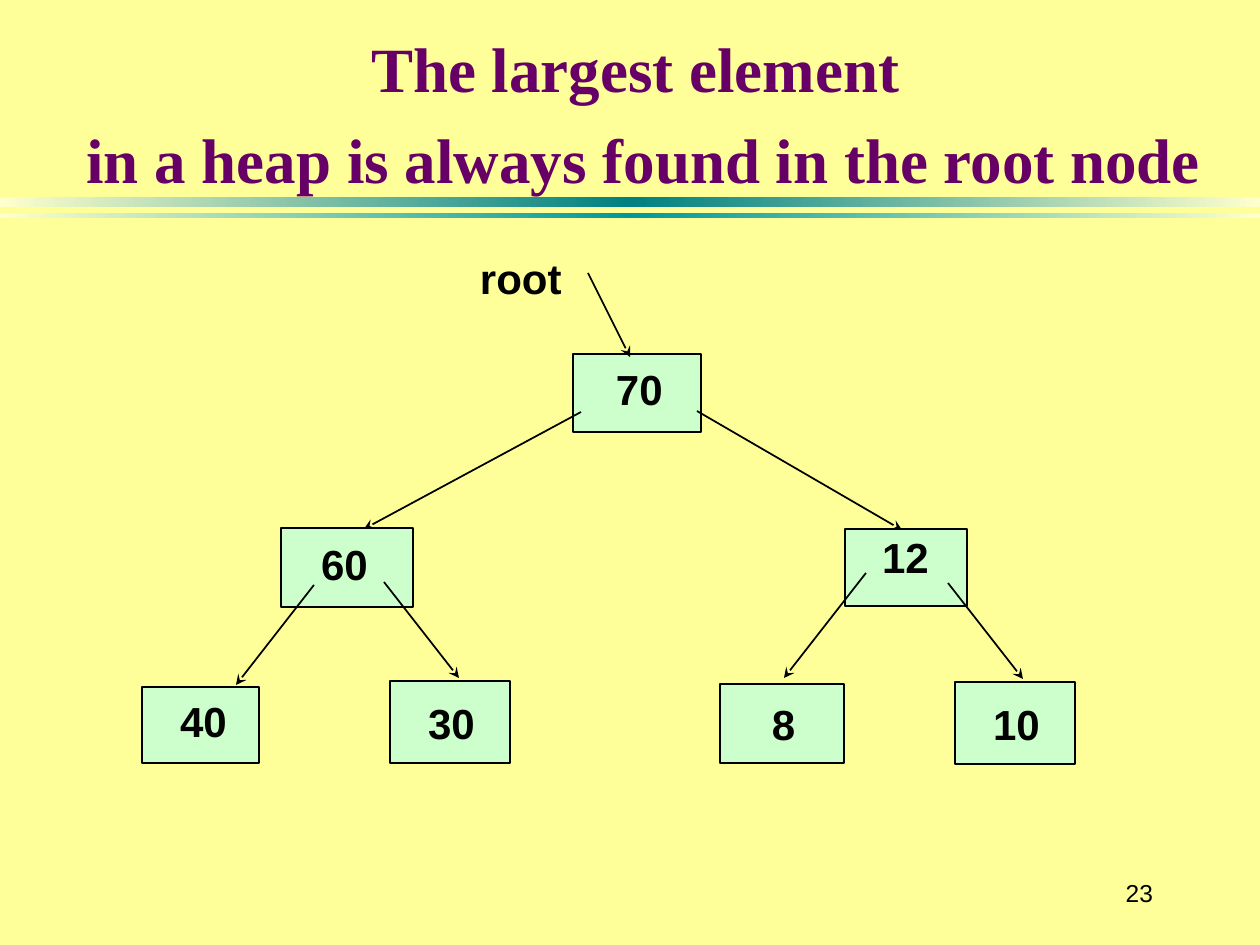
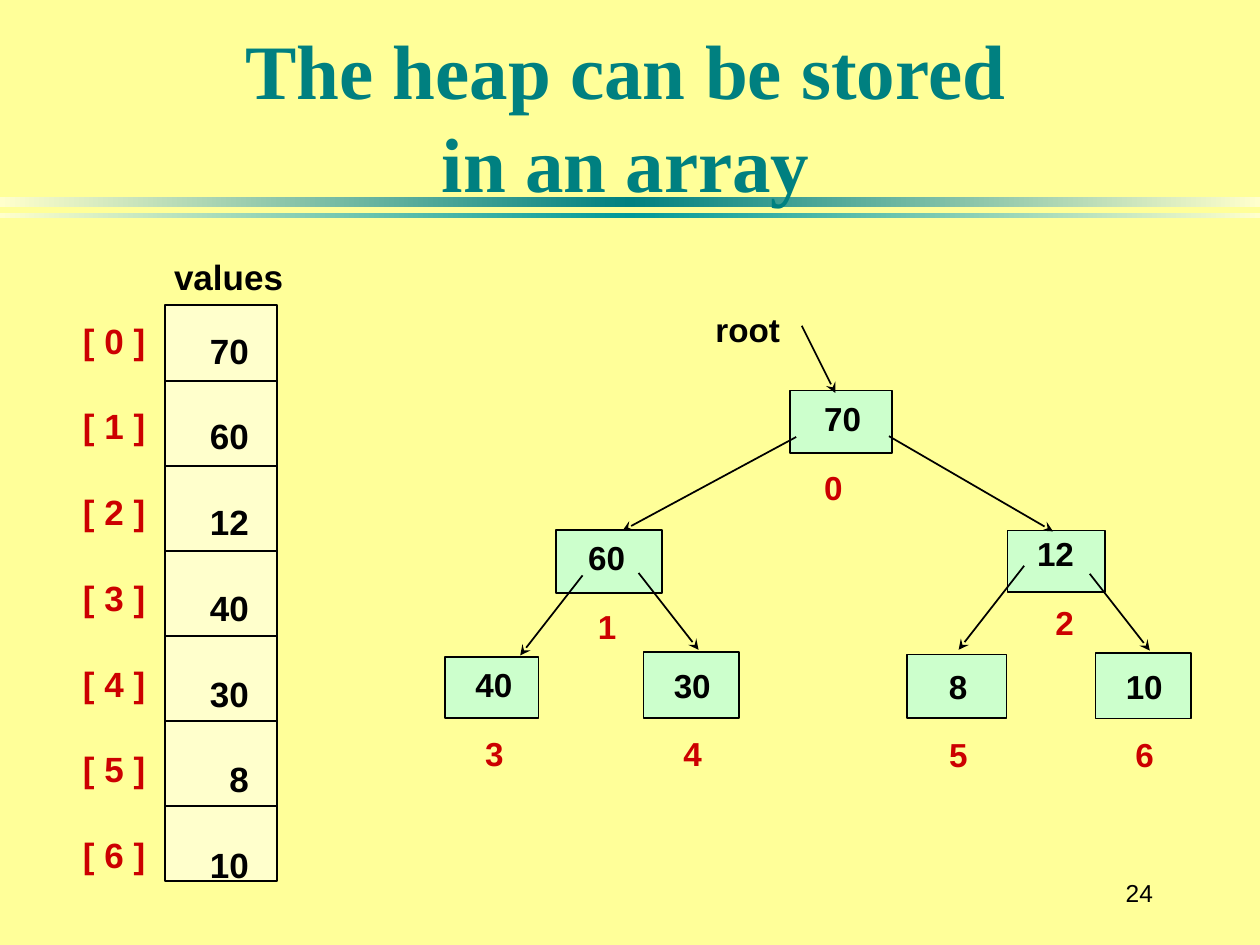
from dataclasses import dataclass

from lxml.etree import SubElement
from pptx import Presentation
from pptx.dml.color import RGBColor
from pptx.enum.shapes import MSO_CONNECTOR, MSO_SHAPE
from pptx.enum.text import MSO_ANCHOR, PP_ALIGN
from pptx.oxml.ns import qn
from pptx.util import Emu, Pt

EMU_PER_PX = 914400 / 126
TITLE_ONLY = 5


@dataclass(frozen=True)
class Theme:
    background: str = "FFFF99"
    band_edge: str = "FFFFCC"
    teal: str = "008080"
    light_teal: str = "009999"
    purple: str = "660066"
    node: str = "CCFFCC"
    array: str = "FFFFCC"
    ink: str = "000000"
    index: str = "CC0000"
    title_font: str = "Times New Roman"
    body_font: str = "Arial"
    long_title_size: int = 36
    title_size: int = 44
    tree_size: int = 24
    array_size: int = 20
    page_size: int = 14
    line_width: int = 1


@dataclass(frozen=True)
class Node:
    """A heap node: its box, text offset in the box, arrow from the parent, index shift."""
    value: int
    box: tuple
    text_offset: tuple
    arrow: tuple
    index_shift: int


THEME = Theme()

# Lengths are relative to the top left corner of the tree, in heap order.
HEAP = [
    Node(70, (431, 112, 128, 78), (43, 10), (446, 31, 488, 115), 0),
    Node(60, (139, 286, 132, 79), (40, 10), (439, 170, 222, 287), 12),
    Node(12, (703, 287, 122, 77), (37, 3), (555, 169, 760, 288), 23),
    Node(40, (0, 445, 117, 76), (38, 9), (172, 343, 94, 443), 12),
    Node(30, (248, 439, 120, 82), (38, 16), (242, 340, 317, 436), 12),
    Node(8, (578, 442, 124, 79), (52, 14), (724, 331, 642, 436), 0),
    Node(10, (813, 440, 120, 82), (38, 16), (806, 341, 881, 437), 12),
]
ROOT_LABEL = (338, 11, 110, 50)
INDEX_DROP = 86


def px(length):
    return Emu(round(length * EMU_PER_PX))


def color(value):
    return RGBColor.from_string(value)


def apply(target, formats):
    for name, value in formats.items():
        setattr(target, name, value)


def write(shape, lines, size, ink=THEME.ink, font=THEME.body_font, bold=True,
          margins=(0, 0), frame_format=None, paragraph_format=None):
    """Fill the text frame of a shape, one paragraph for each line."""
    left, top = margins
    frame = shape.text_frame
    apply(frame, {"word_wrap": True, "margin_left": px(left), "margin_top": px(top),
                  "margin_right": 0, "margin_bottom": 0,
                  "vertical_anchor": MSO_ANCHOR.TOP, **(frame_format or {})})
    frame.text = "\n".join(lines)
    for paragraph in frame.paragraphs:
        apply(paragraph, {"alignment": PP_ALIGN.LEFT, **(paragraph_format or {})})
        for run in paragraph.runs:
            apply(run.font, {"size": Pt(size), "name": font, "bold": bold})
            run.font.color.rgb = color(ink)


def add_text(slide, box, lines, size, **formats):
    write(slide.shapes.add_textbox(*map(px, box)), lines, size, **formats)


def add_box(slide, box, fill):
    shape = slide.shapes.add_shape(MSO_SHAPE.RECTANGLE, *map(px, box))
    shape.shadow.inherit = False
    shape.fill.solid()
    shape.fill.fore_color.rgb = color(fill)
    shape.line.color.rgb = color(THEME.ink)
    shape.line.width = Pt(THEME.line_width)
    return shape


def add_line(slide, ends, arrow=False):
    line = slide.shapes.add_connector(MSO_CONNECTOR.STRAIGHT, *map(px, ends))
    line.line.color.rgb = color(THEME.ink)
    line.line.width = Pt(THEME.line_width)
    properties = line._element.spPr
    if arrow:
        SubElement(properties.find(qn("a:ln")), qn("a:tailEnd"), type="stealth")
    SubElement(properties, qn("a:effectLst"))


def add_band(slide, box, middle):
    """Draw a band that fades out at both ends on the layout of the slide."""
    band = add_box(slide, box, middle)
    band.line.fill.background()
    band.fill.gradient()
    band.fill.gradient_angle = 0
    stops = band._element.spPr.find(".//" + qn("a:gsLst"))
    stops.clear()
    for position, shade in ((0, THEME.band_edge), (50, middle), (100, THEME.band_edge)):
        stop = SubElement(stops, qn("a:gs"), pos=str(position * 1000))
        SubElement(stop, qn("a:srgbClr"), val=shade)
    slide.slide_layout.shapes._spTree.insert(2, band._element)


def add_title_slide(presentation, title, page, top, size, ink, pitch):
    slide = presentation.slides.add_slide(presentation.slide_layouts[TITLE_ONLY])
    placeholder = slide.shapes.title
    apply(placeholder, dict(zip(("left", "top", "width", "height"),
                                map(px, (49, top, 1173, 158)))))
    write(placeholder, [title], size, ink, THEME.title_font, margins=(12, 6),
          frame_format={"vertical_anchor": MSO_ANCHOR.BOTTOM,
                        "margin_right": px(12), "margin_bottom": px(6)},
          paragraph_format={"alignment": PP_ALIGN.CENTER, "line_spacing": Pt(pitch)})
    add_text(slide, (1081, 861, 72, 63), [str(page)], THEME.page_size, bold=False,
             frame_format={"vertical_anchor": MSO_ANCHOR.MIDDLE},
             paragraph_format={"alignment": PP_ALIGN.RIGHT})
    return slide


def add_tree(slide, left, top, scale=1, show_indexes=False):
    size = round(THEME.tree_size * scale)

    def place(x, y, *rest):
        return left + x * scale, top + y * scale, *(length * scale for length in rest)

    add_text(slide, place(*ROOT_LABEL), ["root"], size)
    for index, node in enumerate(HEAP):
        shape = add_box(slide, place(*node.box), THEME.node)
        write(shape, [str(node.value)], size,
              margins=[offset * scale for offset in node.text_offset])
        if show_indexes:
            x, y = (node.box[axis] + node.text_offset[axis] for axis in (0, 1))
            add_text(slide, place(x + node.index_shift, y + INDEX_DROP, 40, 50),
                     [str(index)], size, ink=THEME.index)
    for node in HEAP:
        x1, y1, x2, y2 = node.arrow
        add_line(slide, place(x1, y1) + place(x2, y2), arrow=True)


def add_array(slide, left, top, width, height):
    first_divider, pitch = 76, 85
    row_gap = {"space_after": Pt(25)}
    add_text(slide, (left + 9, top - 49, 122, 48), ["values"], THEME.array_size)
    add_box(slide, (left, top, width, height), THEME.array)
    for row in range(len(HEAP) - 1):
        y = top + first_divider + row * pitch
        add_line(slide, (left, y, left + width, y))
    add_text(slide, (left - 82, top + 14, 80, 560),
             [f"[ {index} ]" for index in range(len(HEAP))],
             THEME.array_size, ink=THEME.index, paragraph_format=row_gap)
    add_text(slide, (left + 33, top + 24, 51, 560),
             [str(node.value) for node in HEAP], THEME.array_size,
             paragraph_format={"alignment": PP_ALIGN.RIGHT, **row_gap})


def main():
    presentation = Presentation()
    presentation.slide_width, presentation.slide_height = px(1260), px(945)
    background = presentation.slide_master.background.fill
    background.solid()
    background.fore_color.rgb = color(THEME.background)

    root_slide = add_title_slide(
        presentation, "The largest element\v in a heap is always found in the root node",
        23, 44, THEME.long_title_size, THEME.purple, 52)
    add_band(root_slide, (0, 197, 1260, 10), THEME.teal)
    add_band(root_slide, (0, 213, 1260, 5), THEME.light_teal)
    add_tree(root_slide, 142, 242)

    array_slide = add_title_slide(
        presentation, "The heap can be stored \vin an array ",
        24, 56, THEME.title_size, THEME.teal, 53)
    add_array(array_slide, 165, 305, 112, 576)
    add_tree(array_slide, 445, 301, scale=0.8, show_indexes=True)

    presentation.save("out.pptx")


if __name__ == "__main__":
    main()
